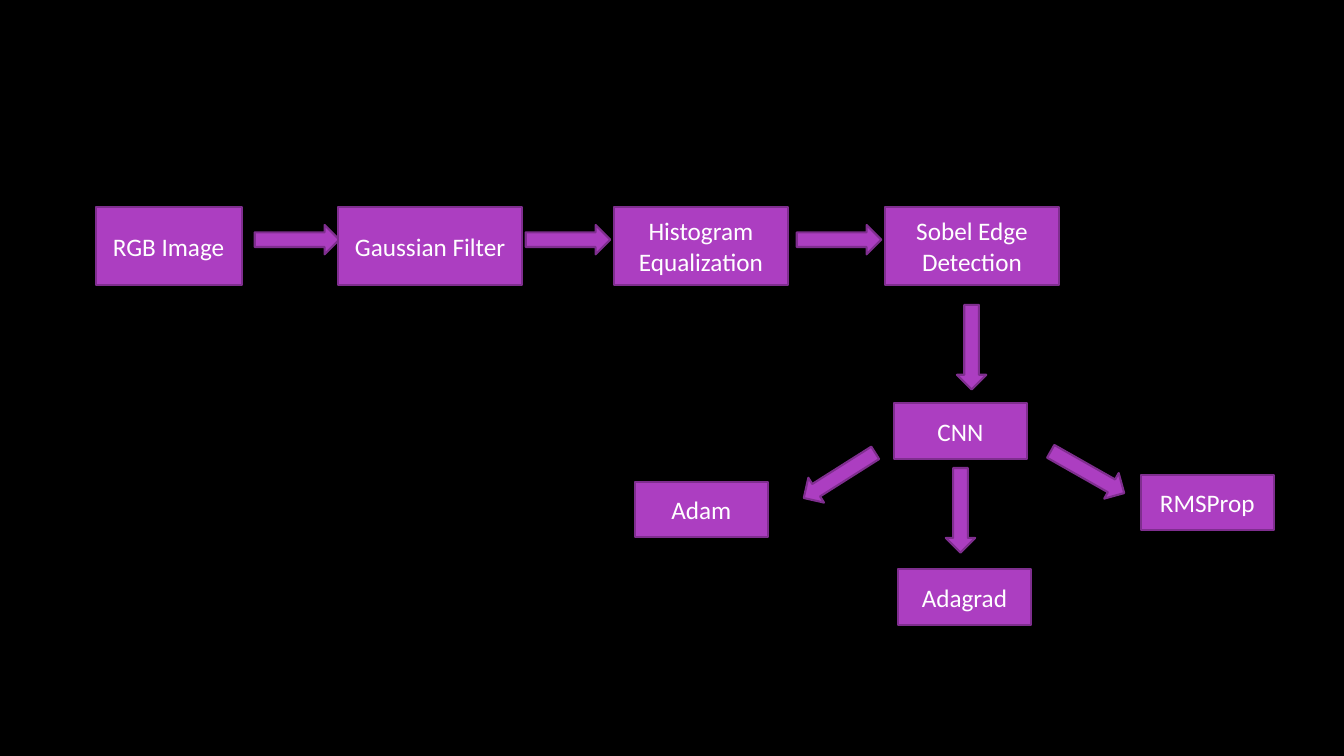
from pptx import Presentation
from pptx.dml.color import RGBColor
from pptx.enum import shapes, text
from pptx.util import Cm, Pt

BACKGROUND, FILL, OUTLINE, WHITE = "000000", "AC3EC1", "7F2E8F", "FFFFFF"
ARROW_W, ARROW_H = 2.13, 0.74


def color(hex_code):
    return RGBColor.from_string(hex_code)


def add_block(slide, kind, left, top, width, height):
    """Add a purple outlined shape; lengths are in centimetres."""
    sp = slide.shapes.add_shape(kind, Cm(left), Cm(top), Cm(width), Cm(height))
    sp.shadow.inherit = False
    sp.fill.solid()
    sp.fill.fore_color.rgb = color(FILL)
    sp.line.color.rgb = color(OUTLINE)
    sp.line.width = Pt(1.5)
    return sp


def add_step(slide, label, left, top, width, height):
    sp = add_block(slide, shapes.MSO_SHAPE.RECTANGLE, left, top, width, height)
    tf = sp.text_frame
    tf.word_wrap = True
    tf.vertical_anchor = text.MSO_ANCHOR.MIDDLE
    p = tf.paragraphs[0]
    p.text = label
    p.alignment = text.PP_ALIGN.CENTER
    p.font.name = "Calibri"
    p.font.size = Pt(18)
    p.font.color.rgb = color(WHITE)


def add_arrow(slide, left, top, angle=0):
    sp = add_block(slide, shapes.MSO_SHAPE.RIGHT_ARROW, left, top, ARROW_W, ARROW_H)
    sp.rotation = angle


def add_preprocessing(slide, left, top, height):
    """Place the row of image filters and the arrows between them."""
    steps = [
        ("RGB Image", 0, 3.68),
        ("Gaussian Filter", 6.12, 4.62),
        ("Histogram Equalization", 13.06, 4.39),
        ("Sobel Edge Detection", 19.89, 4.39),
    ]
    for i in range(len(steps) - 1):
        add_arrow(slide, left + 4.01 + 6.83 * i, top + 0.46)
    for label, x, width in steps:
        add_step(slide, label, left + x, top, width, height)


def add_classifier(slide, left, top):
    """Place the network with its three optimizers fanning out below."""
    steps = [
        ("CNN", 6.53, 1.78),
        ("Adam", 0, 3.76),
        ("Adagrad", 6.63, 5.97),
        ("RMSProp", 12.75, 3.58),
    ]
    arrows = [(7.42, 0, 90), (4.09, 3.23, 147.7), (7.14, 4.11, 90), (10.34, 3.15, 29.6)]
    for label, x, y in steps:
        add_step(slide, label, left + x, top + y, 3.35, 1.4)
    for x, y, angle in arrows:
        add_arrow(slide, left + x, top + y, angle)


def main():
    prs = Presentation()
    prs.slide_width, prs.slide_height = Cm(33.87), Cm(19.05)
    slide = prs.slides.add_slide(prs.slide_layouts[6])
    fill = slide.background.fill
    fill.solid()
    fill.fore_color.rgb = color(BACKGROUND)
    add_preprocessing(slide, left=2.41, top=5.21, height=1.98)
    add_classifier(slide, left=16, top=8.38)
    prs.save("out.pptx")


if __name__ == "__main__":
    main()
